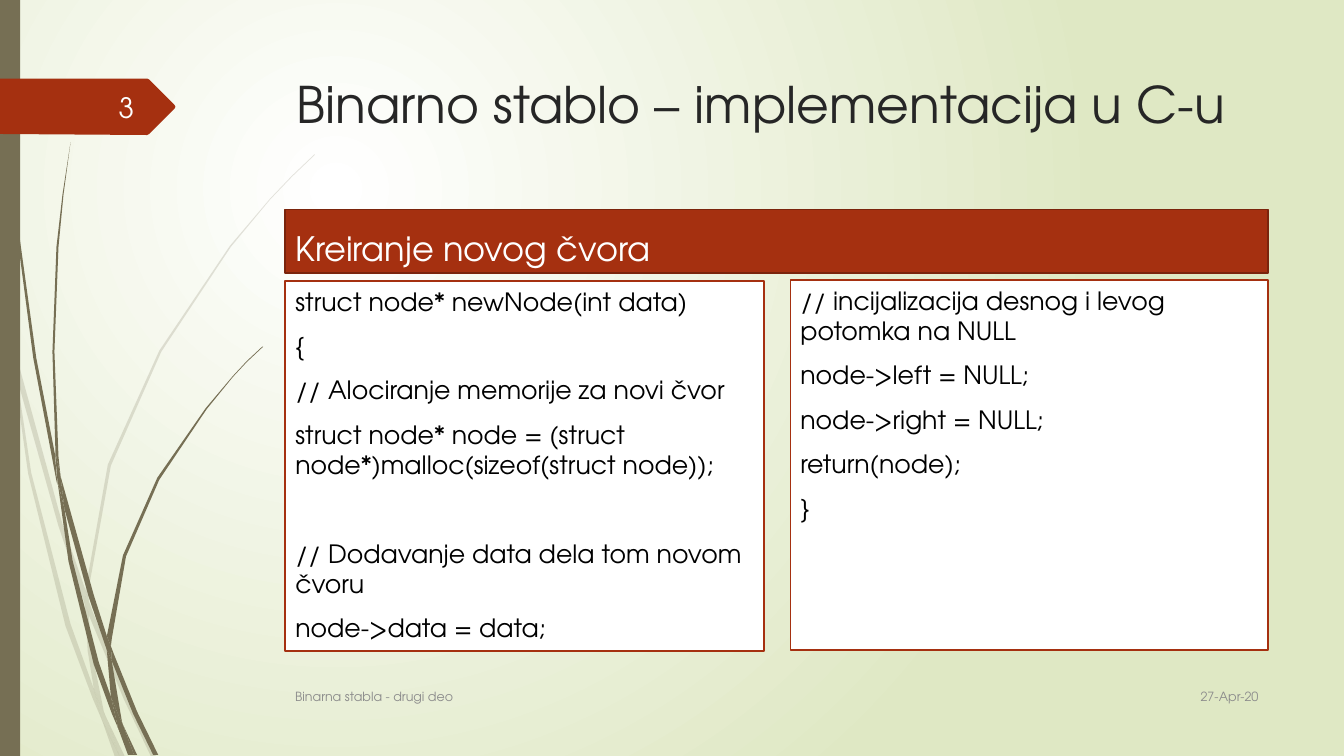
import pptx
import pptx.dml.color
import pptx.enum.shapes
import pptx.enum.text
import pptx.oxml
import pptx.oxml.ns
import pptx.util

PX = 9144  # EMU per px, 100 px to the inch
FONT = "TeX Gyre Adventor"
COLORS = {
    "white": "FFFFFF", "meadow": "DFE8C4", "stem": "766F54", "rust": "A53010",
    "rust_edge": "7A240C", "title": "262626", "code": "000000",
    "footer": "8C8C8C", "number": "FEFFFF",
}
RGB = {name: pptx.dml.color.RGBColor.from_string(value) for name, value in COLORS.items()}
ANCHOR = pptx.enum.text.MSO_ANCHOR
ALIGN = pptx.enum.text.PP_ALIGN
RECTANGLE = pptx.enum.shapes.MSO_SHAPE.RECTANGLE

# Corners of each piece of a blade, in px
PALE_GRASS = [
    "11,350 9,322 0,282 0,299 10,344",
    "58,522 84,599 85,586 62,520 14,345 17,376",
    "92,607 88,596 88,610 123,694 150,751 155,751 127,692",
    "119,751 124,751 105,711",
    "93,683 70,619 31,469 17,376 11,350 28,470 65,621 92,693 101,714 99,707",
    "84,599 87,646 93,683 96,692 105,711 103,706 91,646 88,610 88,608",
    "88,584 110,462 160,349 229,245 268,198 290,175 312,154 312,153 289,175 268,197 228,244 158,348 "
    "107,461 85,584 85,586 88,596",
    "101,714 114,751 119,751",
    "88,608 88,610 88,596 85,586 84,599",
    "96,692 93,683 99,707 101,714 119,751 105,711",
]
DARK_GRASS = [
    "7,110 17,233 33,355 56,477 57,481 55,457 55,453 36,355 19,232 8,109 5,48 4,0 3,0 4,48",
    "88,592 106,645 106,633 106,631 93,590 60,472 64,505",
    "113,649 110,641 111,656 132,708 152,749 157,749 136,706",
    "110,691 98,657 72,556 64,505 57,477 68,557 93,659 111,708 117,722 116,717",
    "60,472 58,453 54,349 58,245 63,193 70,141 62,193 56,245 52,349 55,449",
    "133,749 136,749 122,719",
    "57,477 64,505 60,472 55,449 55,453",
    "111,633 125,552 158,476 205,406 231,374 245,359 261,344 260,344 245,358 231,373 204,405 156,474 "
    "122,551 106,631 110,641",
    "117,722 127,749 131,749",
    "106,645 110,691 116,706 122,719 121,716 111,656 109,651",
    "106,645 109,651 111,656 110,641 106,631 106,633",
    "116,706 110,691 116,717 117,722 130,749 133,749 122,719",
]
NUMBER_TAG = "0,78 146,78 148,79 173,104 174,106 173,108 148,133 146,134 0,133"

LEFT_CODE = [
    "struct node* newNode(int data)", "{", "// Alociranje memorije za novi čvor",
    "struct node* node = (struct node*)malloc(sizeof(struct node));",
    "// Dodavanje data dela tom novom čvoru", "node->data = data;",
]
RIGHT_CODE = [
    "// incijalizacija desnog i levog potomka na NULL", "node->left = NULL;",
    "node->right = NULL;", "return(node);", "}",
]
SPACE_BEFORE = {LEFT_CODE[4]: 42}  # sets the second step of the code apart

# box, paragraphs, size, text colour, space before, anchor, alignment, (fill, line)
TEXTS = [
    ((284, 68, 975, 140), ["Binarno stablo – implementacija u C-u"], 36, "title", 0, ANCHOR.TOP, ALIGN.LEFT, None),
    ((283, 208, 975, 63), ["Kreiranje novog čvora"], 24, "white", 10, ANCHOR.BOTTOM, ALIGN.LEFT, ("rust", "rust_edge")),
    ((283, 279, 475, 367), LEFT_CODE, 18, "code", 10, ANCHOR.TOP, ALIGN.LEFT, ("white", "rust")),
    ((784, 278, 474, 367), RIGHT_CODE, 18, "code", 10, ANCHOR.TOP, ALIGN.LEFT, ("white", "rust")),
    ((1133, 670, 125, 41), ["27-Apr-20"], 9, "footer", 0, ANCHOR.MIDDLE, ALIGN.RIGHT, None),
    ((283, 671, 833, 40), ["Binarna stabla - drugi deo"], 9, "footer", 0, ANCHOR.MIDDLE, ALIGN.LEFT, None),
    ((58, 86, 85, 40), ["3"], 20, "number", 0, ANCHOR.MIDDLE, ALIGN.RIGHT, None),
]


def paint(shape, color):
    """Give a shape a flat fill, without line or shadow."""
    shape.shadow.inherit = False
    shape.fill.solid()
    shape.fill.fore_color.rgb = RGB[color]
    shape.line.fill.background()


def add_polygon(shapes, outline, color):
    corners = [tuple(map(int, corner.split(","))) for corner in outline.split()]
    builder = shapes.build_freeform(*corners[0], scale=PX)
    builder.add_line_segments(corners[1:], close=True)
    shape = builder.convert_to_shape()
    paint(shape, color)
    return shape


presentation = pptx.Presentation()
presentation.slide_width = 1333 * PX
presentation.slide_height = 750 * PX
slide = presentation.slides.add_slide(presentation.slide_layouts[6])

# Background: round gradient centred in the upper left quarter
background = slide.background.fill
background.gradient()
for stop, color in zip(background.gradient_stops, ("white", "meadow")):
    stop.color.rgb = RGB[color]
linear = next(slide.element.iter(pptx.oxml.ns.qn("a:lin")))
linear.getparent().replace(linear, pptx.oxml.parse_xml(
    f'<a:path {pptx.oxml.ns.nsdecls("a")} path="circle">'
    '<a:fillToRect l="50000" t="50000" r="100000" b="100000"/></a:path>'
))

# Grass, side bar and number tag
for outlines, opacity in ((PALE_GRASS, 20), (DARK_GRASS, 100)):
    group = slide.shapes.add_group_shape()
    for outline in outlines:
        blade = add_polygon(group.shapes, outline, "stem")
        if opacity < 100:
            color_element = next(blade.element.spPr.iter(pptx.oxml.ns.qn("a:srgbClr")))
            color_element.append(pptx.oxml.parse_xml(
                f'<a:alpha {pptx.oxml.ns.nsdecls("a")} val="{opacity * 1000}"/>'
            ))
side_bar = slide.shapes.add_shape(RECTANGLE, 0, 0, 20 * PX, 750 * PX)
paint(side_bar, "stem")
add_polygon(slide.shapes, NUMBER_TAG, "rust")

# Title, panels and footer
for box, paragraphs, size, color, space, anchor, alignment, panel in TEXTS:
    place = [length * PX for length in box]
    if panel:
        fill_color, line_color = panel
        shape = slide.shapes.add_shape(RECTANGLE, *place)
        paint(shape, fill_color)
        shape.line.color.rgb = RGB[line_color]
        shape.line.width = pptx.util.Pt(1.25)
    else:
        shape = slide.shapes.add_textbox(*place)
    frame = shape.text_frame
    for name, value in {"word_wrap": True, "vertical_anchor": anchor, "text": "\n".join(paragraphs)}.items():
        setattr(frame, name, value)
    for paragraph in frame.paragraphs:
        paragraph.alignment = alignment
        paragraph.space_before = pptx.util.Pt(SPACE_BEFORE.get(paragraph.text, space))
        font = paragraph.runs[0].font
        for name, value in {"name": FONT, "size": pptx.util.Pt(size)}.items():
            setattr(font, name, value)
        font.color.rgb = RGB[color]

presentation.save("out.pptx")
